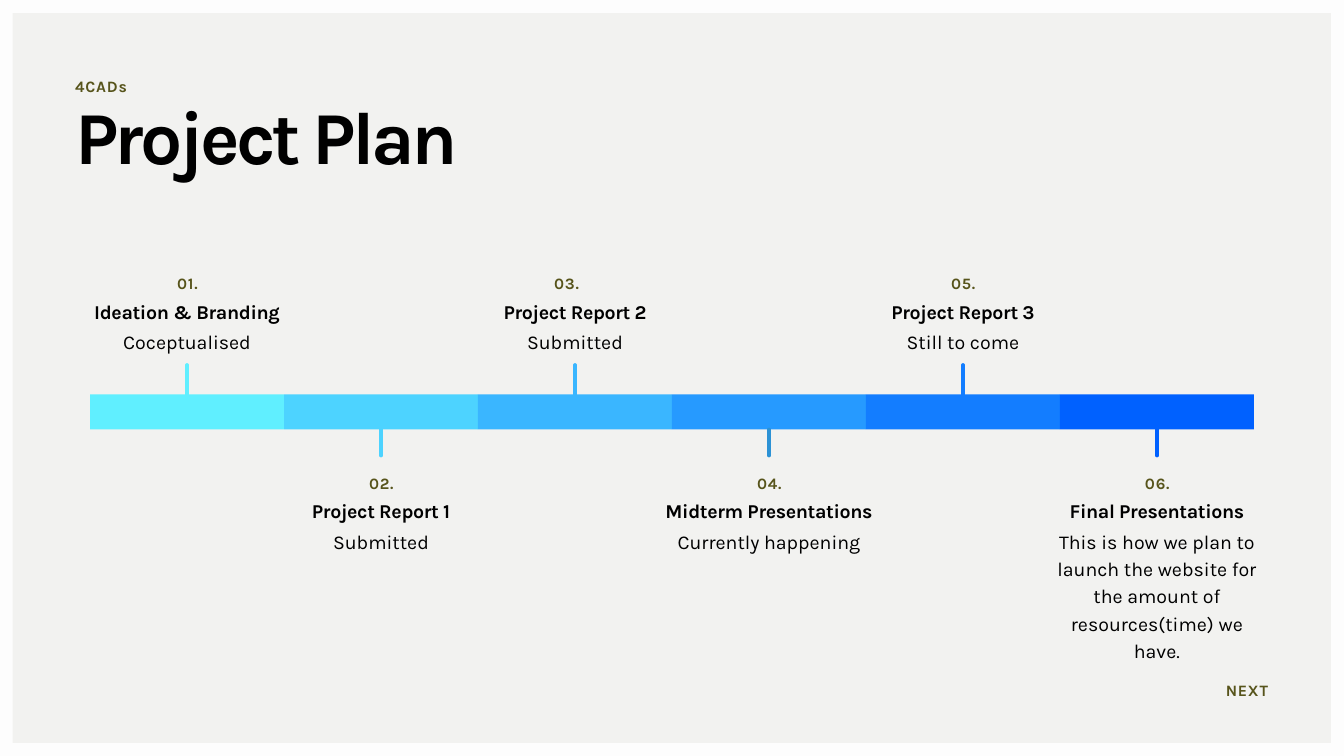
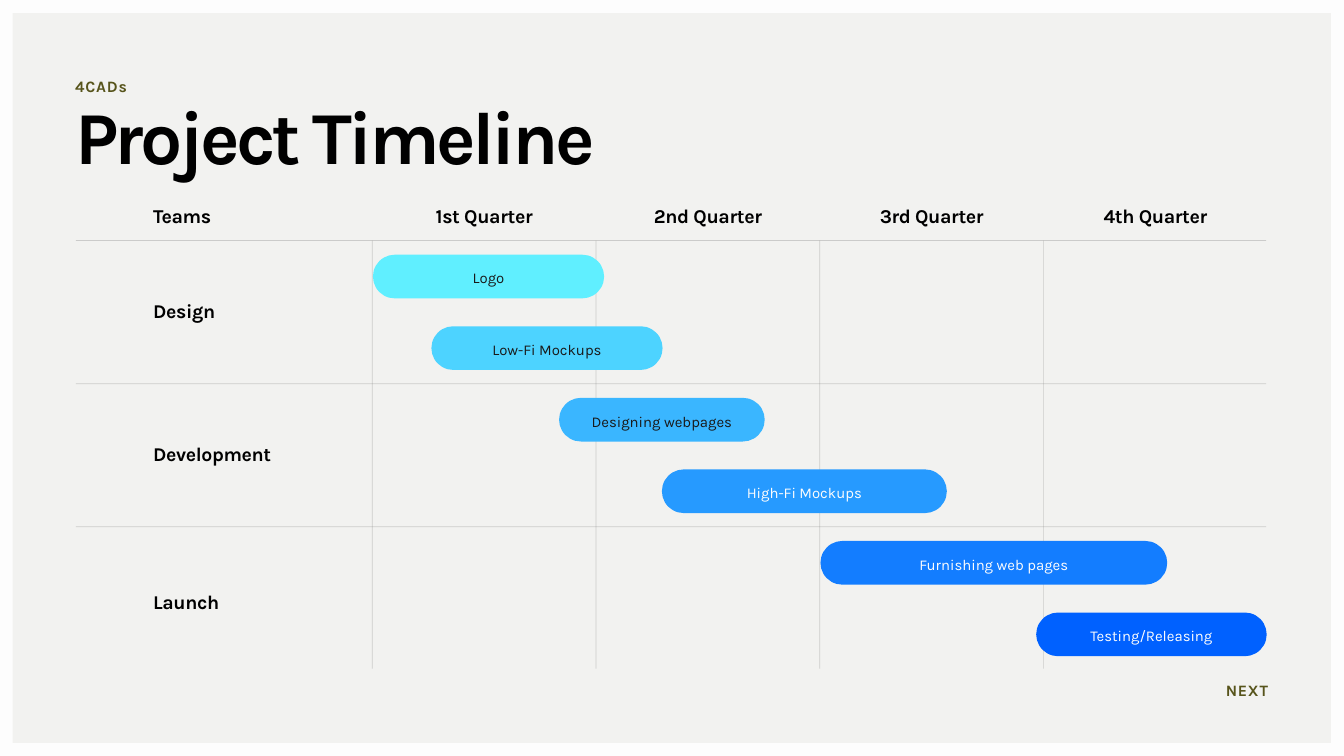
import pptx
import pptx.dml.color
import pptx.enum.dml
import pptx.enum.shapes
import pptx.enum.text
import pptx.oxml.ns
import pptx.shapes.connector
import pptx.util
from lxml import etree

Inches = pptx.util.Inches
SHAPES = pptx.enum.shapes.MSO_SHAPE
STRAIGHT = pptx.enum.shapes.MSO_CONNECTOR.STRAIGHT
ALIGN = pptx.enum.text.PP_ALIGN
qn = pptx.oxml.ns.qn

# Shared style
FONT = "Karla"
PAPER, FRAME, OLIVE, BLACK = "F2F2F0", "FDFDFD", "57541B", "000000"
DARK_TEXT, GRID = "191919", "737373"
BLUES = ["60EFFF", "4DD3FF", "3AB6FF", "269AFF", "137DFF", "0061FF"]
SMALL = {"size": 17, "leading": 23.8, "color": OLIVE, "bold": True, "tracking": 0.8}
HEADING = {"bold": True, "tracking": -0.4}


def rgb(hex_string):
    return pptx.dml.color.RGBColor.from_string(hex_string)


def add_text(slide, text, left, top, width, height, *, size=21, leading=29.4,
             color=BLACK, bold=False, tracking=0, align=ALIGN.LEFT, pill=None):
    """Write text in a text box, or in a rounded bar of the colour given as pill."""
    box = [Inches(length) for length in (left, top, width, height)]
    if pill:
        shape = slide.shapes.add_shape(SHAPES.ROUNDED_RECTANGLE, *box)
        shape.adjustments[0] = 0.5
        shape.shadow.inherit = False
        shape.fill.solid()
        shape.fill.fore_color.rgb = rgb(pill)
        shape.line.fill.background()
    else:
        shape = slide.shapes.add_textbox(*box)
    frame = shape.text_frame
    frame.word_wrap = True
    frame.margin_left = frame.margin_right = frame.margin_top = frame.margin_bottom = 0
    if pill:
        frame.vertical_anchor = pptx.enum.text.MSO_ANCHOR.MIDDLE
    else:
        frame.auto_size = pptx.enum.text.MSO_AUTO_SIZE.SHAPE_TO_FIT_TEXT
    paragraph = frame.paragraphs[0]
    paragraph.alignment = align
    paragraph.line_spacing = pptx.util.Pt(leading)
    run = paragraph.add_run()
    run.text = text
    run.font.name = FONT
    run.font.size = pptx.util.Pt(size)
    run.font.bold = bold
    run.font.color.rgb = rgb(color)
    if tracking:
        run._r.get_or_add_rPr().set("spc", str(round(tracking * 100)))


presentation = pptx.Presentation()
presentation.slide_width = Inches(20)
presentation.slide_height = Inches(11.25)

# Background, frame, title and footer of both slides
for title in ("Project Plan", "Project Timeline"):
    slide = presentation.slides.add_slide(presentation.slide_layouts[6])
    slide.background.fill.solid()
    slide.background.fill.fore_color.rgb = rgb(PAPER)
    border = slide.shapes.add_shape(
        SHAPES.FRAME, 0, 0, presentation.slide_width, presentation.slide_height)
    border.adjustments[0] = 0.19 / 11.25
    border.shadow.inherit = False
    border.fill.solid()
    border.fill.fore_color.rgb = rgb(FRAME)
    border.line.fill.background()
    add_text(slide, title, 1.12, 1.45, 17.74, 1.28,
             size=80, leading=88, bold=True, tracking=-4)
    add_text(slide, "4CADs", 1.12, 1.1, 17.74, 0.3, **SMALL)
    add_text(slide, "NEXT", 17.36, 10.08, 1.51, 0.31, align=ALIGN.RIGHT, **SMALL)

plan, timeline = presentation.slides

# Plan: coloured bar with steps alternately above and below
steps = [
    ("Ideation & Branding", "Coceptualised"),
    ("Project Report 1", "Submitted"),
    ("Project Report 2", "Submitted"),
    ("Midterm Presentations", "Currently happening"),
    ("Project Report 3", "Still to come"),
    ("Final Presentations", "This is how we plan to launch the website "
                            "for the amount of resources(time) we have."),
]
tick_colors = BLUES[:3] + ["2C92D5"] + BLUES[4:]
number_shifts = {2: -0.13}
bar_left, bar_top, bar_height = 1.34, 5.87, 0.52
segment_width = 17.32 / len(steps)
label_width = 3.3

for index, (heading, status) in enumerate(steps):
    above = index % 2 == 0
    left = bar_left + index * segment_width
    center = left + segment_width / 2
    segment = plan.shapes.add_shape(
        SHAPES.RECTANGLE, Inches(left), Inches(bar_top),
        Inches(segment_width), Inches(bar_height))
    segment.shadow.inherit = False
    segment.fill.solid()
    segment.fill.fore_color.rgb = rgb(BLUES[index])
    segment.line.fill.background()

    tick_end = Inches(5.43 if above else 6.78)
    tick = plan.shapes.add_connector(
        STRAIGHT, Inches(center), Inches(bar_top), Inches(center), tick_end)
    tick.begin_connect(segment, 0 if above else 2)
    tick.line.color.rgb = rgb(tick_colors[index])
    tick.line.width = pptx.util.Pt(3.75)
    tick.line._get_or_add_ln().set("cap", "rnd")

    label_top = 4.03 if above else 7
    label_left = center - label_width / 2
    add_text(plan, f"{index + 1:02}.", center - 0.45 + number_shifts.get(index, 0),
             label_top, 0.91, 0.31, align=ALIGN.CENTER, **SMALL)
    add_text(plan, heading, label_left, label_top + 0.37, label_width, 0.39,
             align=ALIGN.CENTER, **HEADING)
    add_text(plan, status, label_left, label_top + 0.82, label_width, 0.39,
             align=ALIGN.CENTER)

# Timeline: grid of quarters and teams
grid_left, grid_top, grid_right, grid_bottom = 1.13, 3.58, 18.84, 9.95
quarter_left, quarter_width, row_height = 5.54, 3.33, 2.13
quarters = ["1st Quarter", "2nd Quarter", "3rd Quarter", "4th Quarter"]
teams = [("Design", 4.39), ("Development", 6.52), ("Launch", 8.72)]

grid_lines = []
for index in range(len(quarters)):
    x = quarter_left + index * quarter_width
    grid_lines.append((x, grid_top, x, grid_bottom))
for index in range(len(teams)):
    y = grid_top + index * row_height
    grid_lines.append((grid_left, y, grid_right, y))
for ends in grid_lines:
    line = timeline.shapes.add_connector(STRAIGHT, *[Inches(value) for value in ends])
    line.line.color.rgb = rgb(GRID)
    line.line.width = pptx.util.Pt(0.75)
    color_element = line.line._get_or_add_ln().find(".//" + qn("a:srgbClr"))
    etree.SubElement(color_element, qn("a:alpha"), val="30000")

# Timeline: column and row headings
add_text(timeline, "Teams", 2.28, 2.98, 3.26, 0.4, **HEADING)
for index, quarter in enumerate(quarters):
    add_text(timeline, quarter, quarter_left + index * quarter_width, 2.98,
             quarter_width, 0.4, align=ALIGN.CENTER, **HEADING)
for team, top in teams:
    add_text(timeline, team, 2.28, top, 2.85, 0.4, size=20.9, leading=29.3, **HEADING)

# Timeline: two task bars for each team
tasks = [
    ("Logo", 5.55, 3.44),
    ("Low-Fi Mockups", 6.42, 3.44),
    ("Designing webpages", 8.32, 3.06),
    ("High-Fi Mockups", 9.85, 4.24),
    ("Furnishing web pages", 12.21, 5.16),
    ("Testing/Releasing", 15.42, 3.43),
]
for index, (task, left, width) in enumerate(tasks):
    add_text(timeline, task, left, 3.79 + index * row_height / 2, width, 0.65,
             size=16, leading=22.4, align=ALIGN.CENTER, pill=BLUES[index],
             color=DARK_TEXT if index < 3 else FRAME)

# Lines without shadow
for slide in presentation.slides:
    for shape in slide.shapes:
        if isinstance(shape, pptx.shapes.connector.Connector):
            etree.SubElement(shape._element.spPr, qn("a:effectLst"))

presentation.save("out.pptx")
